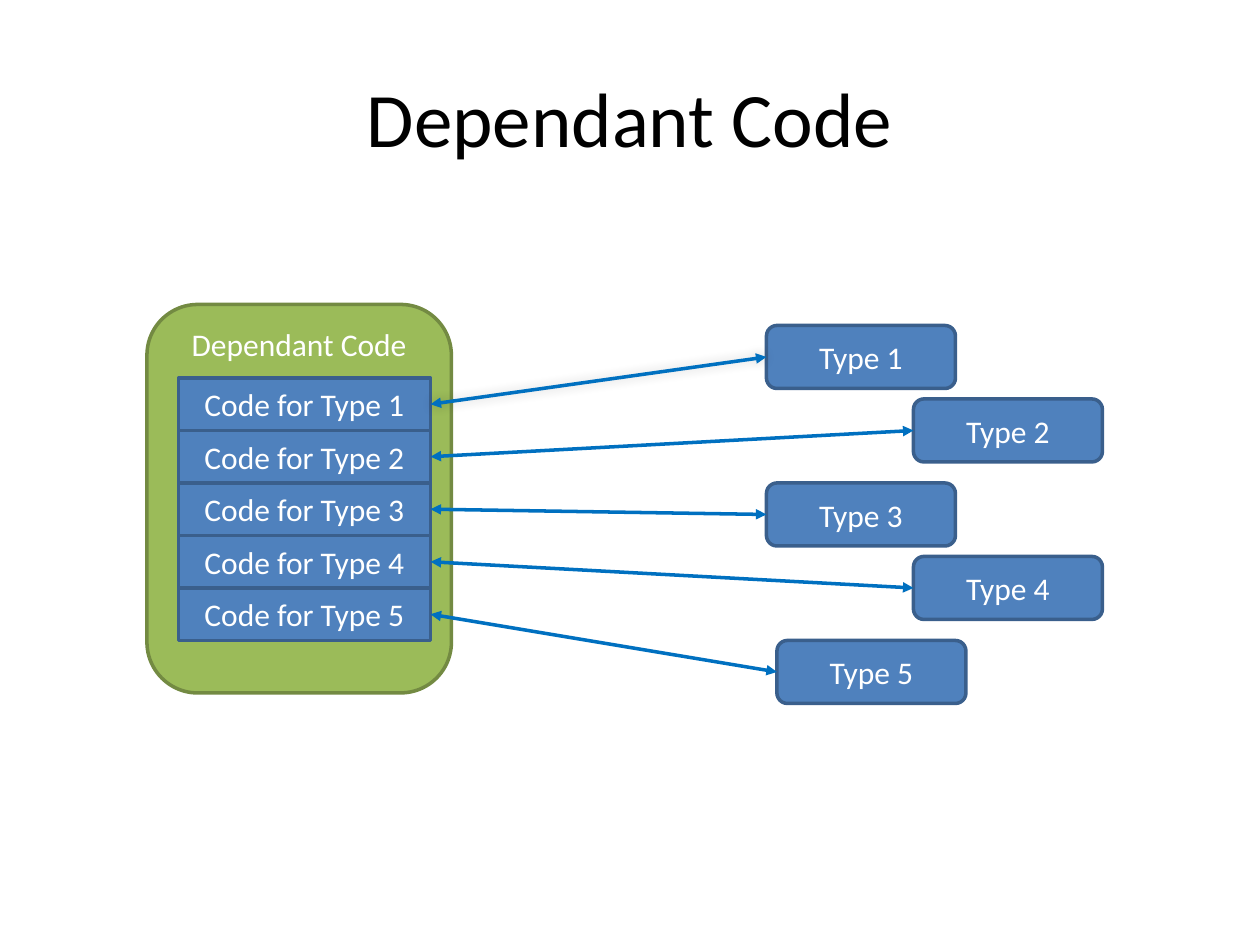
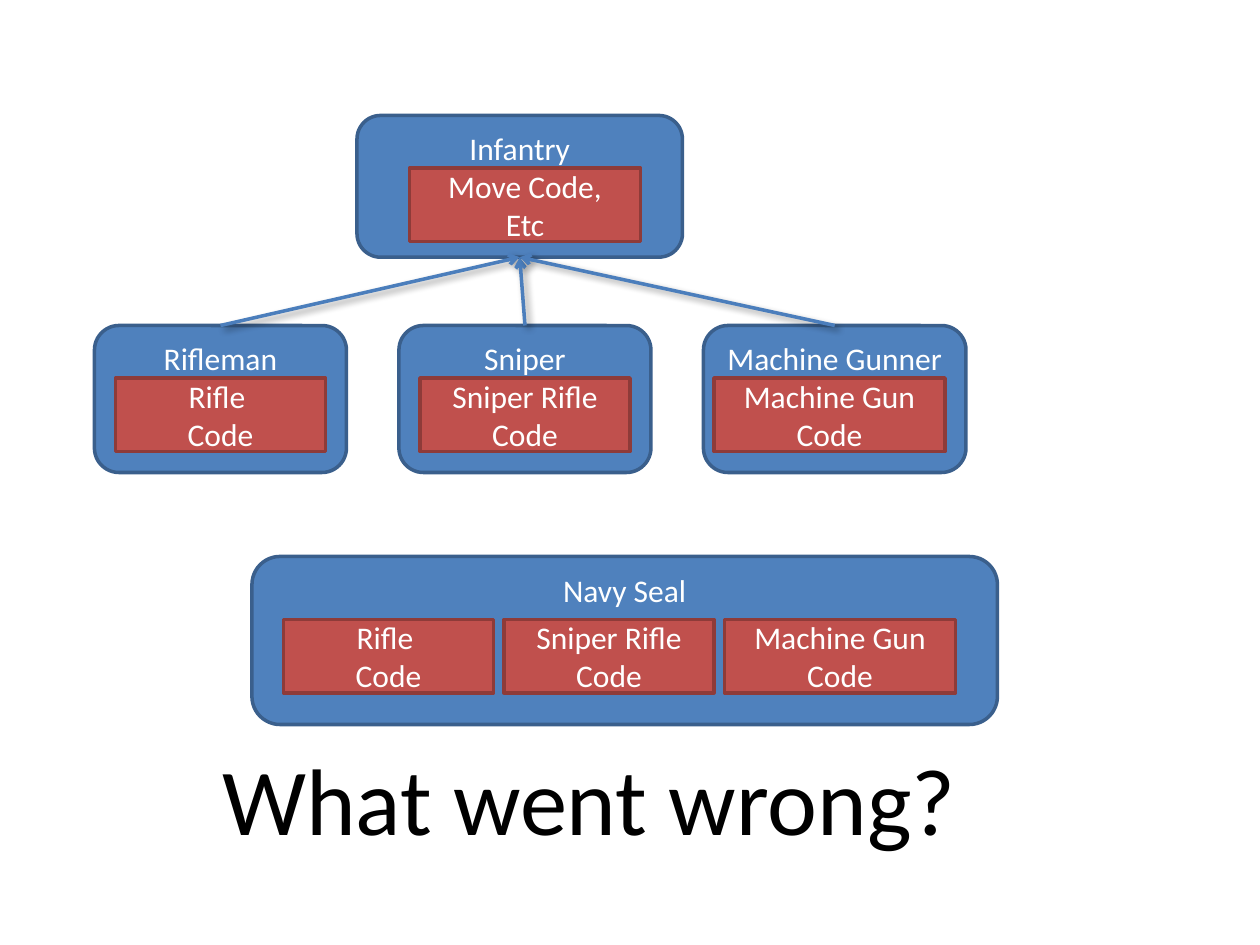
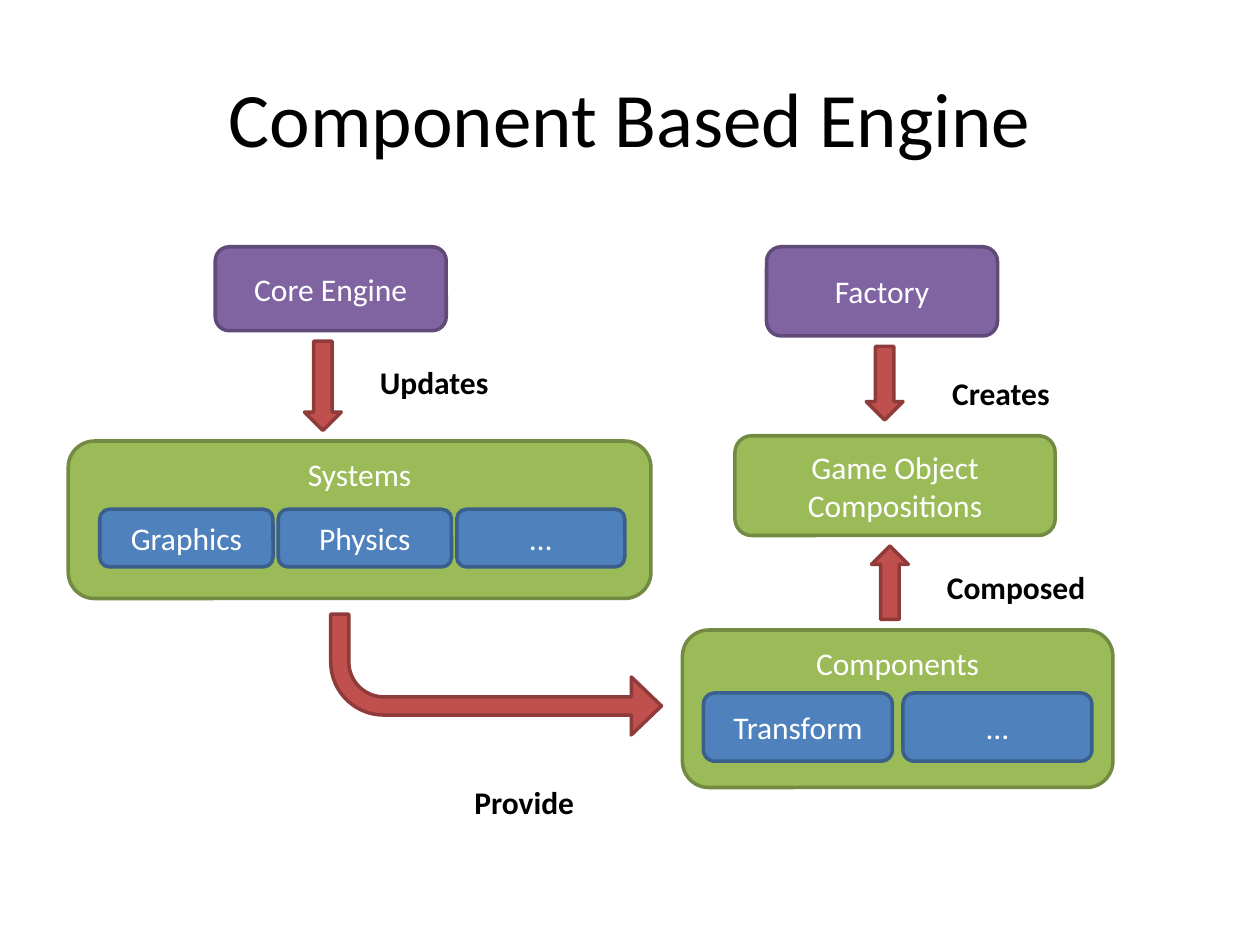
from lxml import etree
from pptx import Presentation
from pptx.dml.color import RGBColor
from pptx.enum.shapes import MSO_CONNECTOR, MSO_SHAPE
from pptx.enum.text import MSO_ANCHOR, MSO_AUTO_SIZE, PP_ALIGN
from pptx.oxml.ns import qn
from pptx.util import Inches, Pt

RECT, ROUND = MSO_SHAPE.RECTANGLE, MSO_SHAPE.ROUNDED_RECTANGLE
DOWN, BENT = MSO_SHAPE.DOWN_ARROW, MSO_SHAPE.BENT_ARROW
STRAIGHT = MSO_CONNECTOR.STRAIGHT
TOP, MIDDLE = MSO_ANCHOR.TOP, MSO_ANCHOR.MIDDLE
LEFT, CENTER = PP_ALIGN.LEFT, PP_ALIGN.CENTER
GROW = MSO_AUTO_SIZE.SHAPE_TO_FIT_TEXT

FONT = "Calibri"
COLS, ROWS = 120, 90  # grid of the slide, 12 cells to the inch
COLORS = {
    "text": "000000", "light": "FFFFFF", "shadow": "000000",
    "blue": "4F81BD", "blue_edge": "3A5F8C",
    "green": "9BBB59", "green_edge": "738A42",
    "red": "C0504D", "red_edge": "8E3B39",
    "purple": "8064A2", "purple_edge": "5F4A78",
    "link": "0070C0", "inherit": "4B7EBC",
}
# Connection sites of rectangles
SITE_TOP, SITE_LEFT, SITE_BOTTOM, SITE_RIGHT = range(4)
# Shadows: opacity %, blur pt, distance pt, direction in degrees
GLOW, DROP = (20, 6, 0, 225), (40, 4, 3, 45)


def color(name):
    return RGBColor.from_string(COLORS[name])


def grid(*cells):
    return [Inches(n / 12) for n in cells]


def write(tf, text, size=18, ink="light", align=CENTER, bold=False):
    """Fill a text frame, one paragraph per line."""
    for i, line in enumerate(text.split("\n")):
        p = tf.paragraphs[0] if i == 0 else tf.add_paragraph()
        p.text = line
        p.alignment = align
        p.font.name, p.font.size, p.font.bold = FONT, Pt(size), bold
        p.font.color.rgb = color(ink)


def add_slide(prs, title=None):
    if title is None:
        return prs.slides.add_slide(prs.slide_layouts[6])
    slide = prs.slides.add_slide(prs.slide_layouts[5])
    sp = slide.shapes.title
    sp.left, sp.top, sp.width, sp.height = grid(6, 3.6, 108, 15)
    sp.text_frame.vertical_anchor = MIDDLE
    write(sp.text_frame, title, 44, "text")
    return slide


def shape(shapes, kind, cells, fill):
    sp = shapes.add_shape(kind, *grid(*cells))
    sp.shadow.inherit = False
    sp.fill.solid()
    sp.fill.fore_color.rgb = color(fill)
    sp.line.color.rgb = color(fill + "_edge")
    sp.line.width = Pt(2)
    return sp


def box(shapes, text, cells, fill="blue", kind=ROUND, anchor=MIDDLE):
    sp = shape(shapes, kind, cells, fill)
    sp.text_frame.word_wrap = True
    sp.text_frame.vertical_anchor = anchor
    write(sp.text_frame, text)
    return sp


def label(shapes, text, cells, size=18, bold=True):
    tf = shapes.add_textbox(*grid(*cells)).text_frame
    tf.word_wrap = False
    tf.auto_size = GROW
    write(tf, text, size, "text", LEFT, bold)


def connect(shapes, start, end, ink, tail, head=None, shadow=None):
    """Join two (shape, connection site) pairs with an arrow."""
    c = shapes.add_connector(STRAIGHT, 0, 0, 0, 0)
    c.begin_connect(*start)
    c.end_connect(*end)
    c.line.color.rgb = color(ink)
    c.line.width = Pt(2)
    props = c.element.spPr
    ln = props.find(qn("a:ln"))
    for tag, kind in (("a:headEnd", head), ("a:tailEnd", tail)):
        if kind:
            etree.SubElement(ln, qn(tag), type=kind)
    effects = etree.SubElement(props, qn("a:effectLst"))
    if shadow:
        alpha, blur, dist, angle = shadow
        outer = etree.SubElement(
            effects, qn("a:outerShdw"), blurRad=str(Pt(blur)),
            dist=str(Pt(dist)), dir=str(angle * 60000), rotWithShape="0")
        tint = etree.SubElement(outer, qn("a:srgbClr"), val=COLORS["shadow"])
        etree.SubElement(tint, qn("a:alpha"), val=str(alpha * 1000))


def dependant_code(prs):
    shapes = add_slide(prs, "Dependant Code").shapes
    box(shapes, "Dependant Code", (14, 29, 29, 37), "green", anchor=TOP)
    type_places = [(73, 31), (87, 38), (73, 46), (87, 53), (74, 61)]
    for i, (x, y) in enumerate(type_places):
        name = f"Type {i + 1}"
        code = box(shapes, f"Code for {name}", (17, 36 + 5 * i, 24, 5),
                   kind=RECT)
        target = box(shapes, name, (x, y, 18, 6))
        connect(shapes, (code, SITE_RIGHT), (target, SITE_LEFT), "link",
                "triangle", "triangle", GLOW if i == 0 else None)


def class_tree(prs):
    shapes = add_slide(prs).shapes

    def code_box(parent, text, x, y, width):
        box(parent, text, (x, y, width, 7), "red", RECT)

    # Base class
    base = box(shapes, "Infantry", (34, 11, 31, 13.5), anchor=TOP)
    code_box(shapes, "Move Code,\nEtc", 39, 16, 22)

    # Class that needs all three kinds of code
    seal = shapes.add_group_shape().shapes
    box(seal, "Navy Seal", (24, 53, 71, 16), anchor=TOP)

    # Derived classes: name, code, left, width, code left, code width
    derived = [
        ("Rifleman", "Rifle \nCode", 9, 24, 11, 20),
        ("Sniper", "Sniper Rifle Code", 38, 24, 40, 20),
        ("Machine Gunner", "Machine Gun Code", 67, 25, 68, 22),
    ]
    for i, (name, code, x, width, code_x, code_w) in enumerate(derived):
        child = box(shapes, name, (x, 31, width, 14), anchor=TOP)
        code_box(shapes, code, code_x, 36, code_w)
        code_box(seal, code, 27 + 21 * i, 59, code_w)
        connect(shapes, (child, SITE_TOP), (base, SITE_BOTTOM), "inherit",
                "arrow", shadow=DROP)

    label(shapes, "What went wrong?", (20, 70, 73, 12.1), 54, False)


def component_engine(prs):
    shapes = add_slide(prs, "Component Based Engine").shapes

    # Engine and its systems
    box(shapes, "Core Engine", (20.5, 23.5, 22, 8), "purple")
    box(shapes, "Systems", (6.5, 42, 55.5, 15), "green", anchor=TOP)
    for i, (name, width) in enumerate(
            [("Graphics", 16.5), ("Physics", 16.5), ("…", 16)]):
        box(shapes, name, (9.5 + 17 * i, 48.5, width, 5.5))

    # Factory, compositions and components
    box(shapes, "Factory", (73, 23.5, 22, 8.5), "purple")
    box(shapes, "Game Object Compositions", (70, 41.5, 30.5, 9.5), "green")
    box(shapes, "Components", (65, 60, 41, 15), "green", anchor=TOP)
    for i, name in enumerate(["Transform", "…"]):
        box(shapes, name, (67 + 19 * i, 66, 18, 6.5))

    # Block arrows
    shape(shapes, DOWN, (29, 32.5, 3.5, 8.5), "red")
    shape(shapes, DOWN, (82.5, 33, 3.5, 7), "red")
    shape(shapes, DOWN, (83, 52, 3.5, 7), "red").rotation = 180
    bent = shape(shapes, BENT, (31.5, 58.5, 31.5, 11.5), "red")
    for i, value in enumerate([0.15, 0.24, 0.25, 0.44]):
        bent.adjustments[i] = value
    bent.element.spPr.find(qn("a:xfrm")).set("flipV", "1")

    # Arrow labels
    for text, x, y, width in [("Updates", 35, 34, 20),
                              ("Creates", 89.5, 35, 11.8),
                              ("Composed", 89, 53.5, 18.1),
                              ("Provide", 44, 74, 13.5)]:
        tf_cells = (x, y, width, 4.8)
        label(shapes, text, tf_cells)


def main():
    prs = Presentation()
    prs.slide_width, prs.slide_height = grid(COLS, ROWS)
    dependant_code(prs)
    class_tree(prs)
    component_engine(prs)
    prs.save("out.pptx")


main()
